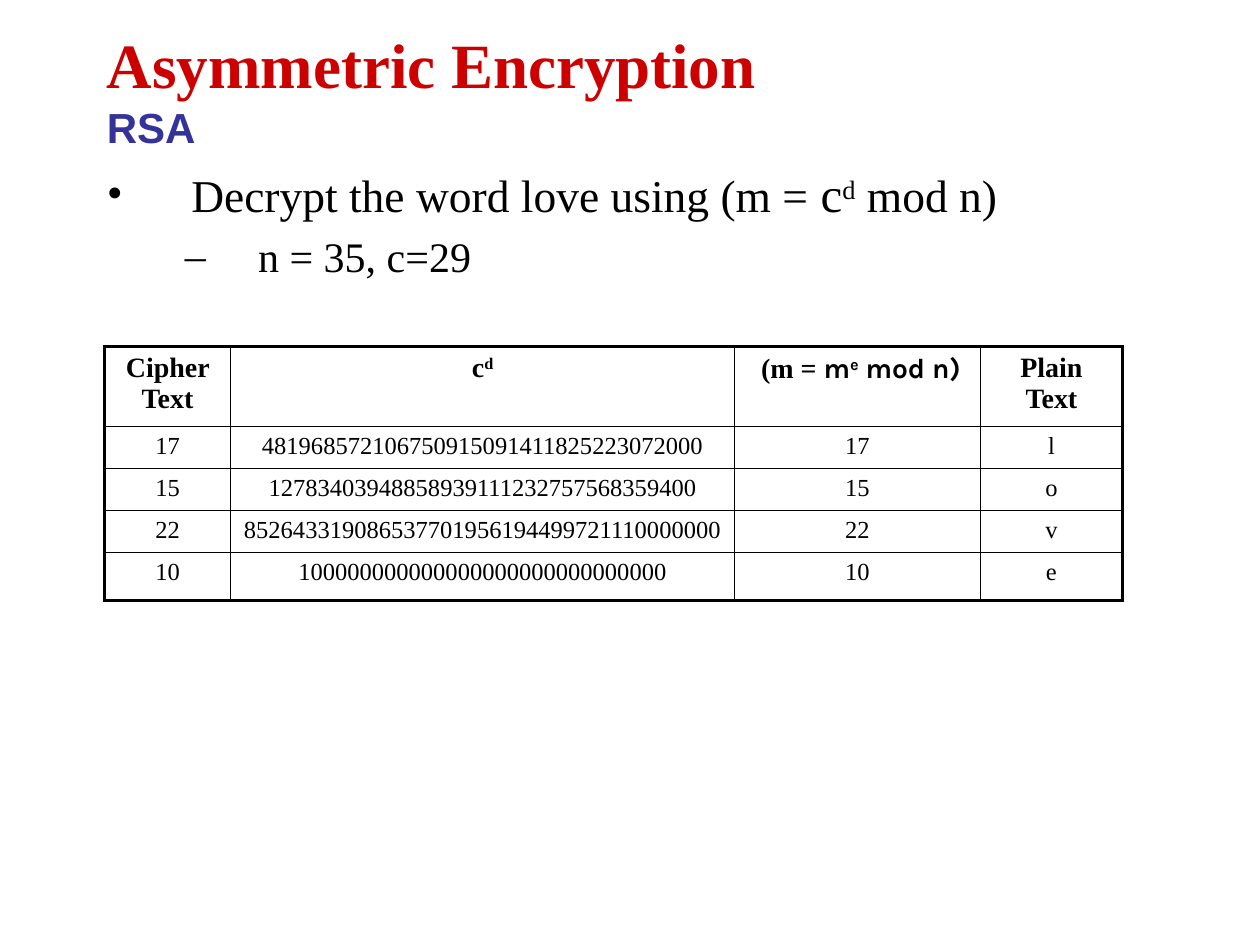
from lxml.etree import SubElement
from pptx import Presentation
from pptx.dml.color import RGBColor
from pptx.enum.text import MSO_ANCHOR, PP_ALIGN
from pptx.oxml.ns import qn
from pptx.util import Inches, Pt

HUES = {"ink": "000000", "red": "CC0000", "blue": "333399"}
SERIF = "Times New Roman"
HEAD = {"name": SERIF, "size": Pt(16), "bold": True}
CELL = {"name": SERIF, "size": Pt(14), "bold": False}
KARLA = {**HEAD, "name": "Karla"}
MAIN = {"name": SERIF, "size": Pt(26)}
COLS = [1, 4, 1.95, 1.13]
ROWS = [0.63, 0.33, 0.33, 0.33, 0.38]
HEADS = [
    [("Cipher Text", HEAD)],
    [("c", HEAD), ("d", HEAD, 30)],
    [(" (m = ", HEAD), ("m", KARLA), ("e", KARLA, 30), (" mod n)", KARLA)],
    [("Plain Text", HEAD)],
]
DATA = [
    ["17", "481968572106750915091411825223072000", "17", "l"],
    ["15", "12783403948858939111232757568359400", "15", "o"],
    ["22", "852643319086537701956194499721110000000", "22", "v"],
    ["10", "100000000000000000000000000000", "10", "e"],
]


def add_run(para, text, form, lift=0, hue="ink"):
    run = para.add_run()
    run.text = text
    for key, val in form.items():
        setattr(run.font, key, val)
    run.font.color.rgb = RGBColor.from_string(HUES[hue])
    if lift:
        run.font._element.set("baseline", str(lift * 1000))


def add_box(slide, left, top, width, height):
    box = slide.shapes.add_textbox(*map(Inches, (left, top, width, height)))
    box.text_frame.word_wrap = True
    return box.text_frame


def set_bullet(para, mark, left, hang, level=0):
    para.level = level
    props = para._p.get_or_add_pPr()
    props.set("marL", str(Inches(left)))
    props.set("indent", str(-Inches(hang)))
    tint = SubElement(props, qn("a:buClr"))
    SubElement(tint, qn("a:srgbClr"), val=HUES["ink"])
    SubElement(props, qn("a:buFont"), typeface=SERIF)
    SubElement(props, qn("a:buChar"), char=mark)


def set_edges(cell, outer):
    props = cell._tc.get_or_add_tcPr()
    for side in "LRTB":
        width = Pt(2.25 if side in outer else 1)
        line = SubElement(props, qn(f"a:ln{side}"), w=str(width))
        fill = SubElement(line, qn("a:solidFill"))
        SubElement(fill, qn("a:srgbClr"), val=HUES["ink"])
    cell.fill.background()


def add_title(slide):
    frame = add_box(slide, 0.75, 0.08, 8.5, 1.25)
    frame.vertical_anchor = MSO_ANCHOR.MIDDLE
    para = frame.paragraphs[0]
    bold = {"bold": True}
    add_run(para, "Asymmetric Encryption ", {**bold, "name": SERIF, "size": Pt(36)}, hue="red")
    para.add_line_break()
    add_run(para, "RSA", {**bold, "name": "Arial", "size": Pt(24)}, hue="blue")


def add_body(slide):
    frame = add_box(slide, 0.75, 1.25, 9.5, 3.42)
    task = frame.paragraphs[0]
    set_bullet(task, "•", 0.67, 0.67)
    add_run(task, "Decrypt the word love using (m = ", MAIN)
    add_run(task, "c", {**MAIN, "size": Pt(28)})
    add_run(task, "d", MAIN, 30)
    add_run(task, " mod n)", MAIN)
    given = frame.add_paragraph()
    set_bullet(given, "–", 1.2, 0.58, 1)
    given.space_before = Pt(4.8)
    add_run(given, "n = 35, c=29", {**MAIN, "size": Pt(24)})


def add_grid(slide):
    size = map(Inches, (0.83, 2.75, sum(COLS), sum(ROWS)))
    table = slide.shapes.add_table(len(ROWS), len(COLS), *size).table
    table.first_row = table.horz_banding = False
    for col, width in zip(table.columns, COLS):
        col.width = Inches(width)
    for row, height in zip(table.rows, ROWS):
        row.height = Inches(height)
    rows = [HEADS] + [[[(text, CELL)] for text in row] for row in DATA]
    for i, row in enumerate(rows):
        for j, runs in enumerate(row):
            cell = table.cell(i, j)
            ends = {"L": j == 0, "R": j == len(COLS) - 1,
                    "T": i == 0, "B": i == len(ROWS) - 1}
            set_edges(cell, [side for side, end in ends.items() if end])
            para = cell.text_frame.paragraphs[0]
            para.alignment = PP_ALIGN.CENTER
            for run in runs:
                add_run(para, *run)


def main():
    deck = Presentation()
    deck.slide_width, deck.slide_height = Inches(10), Inches(7.5)
    slide = deck.slides.add_slide(deck.slide_layouts[6])
    add_body(slide)
    add_title(slide)
    add_grid(slide)
    deck.save("out.pptx")


if __name__ == "__main__":
    main()
